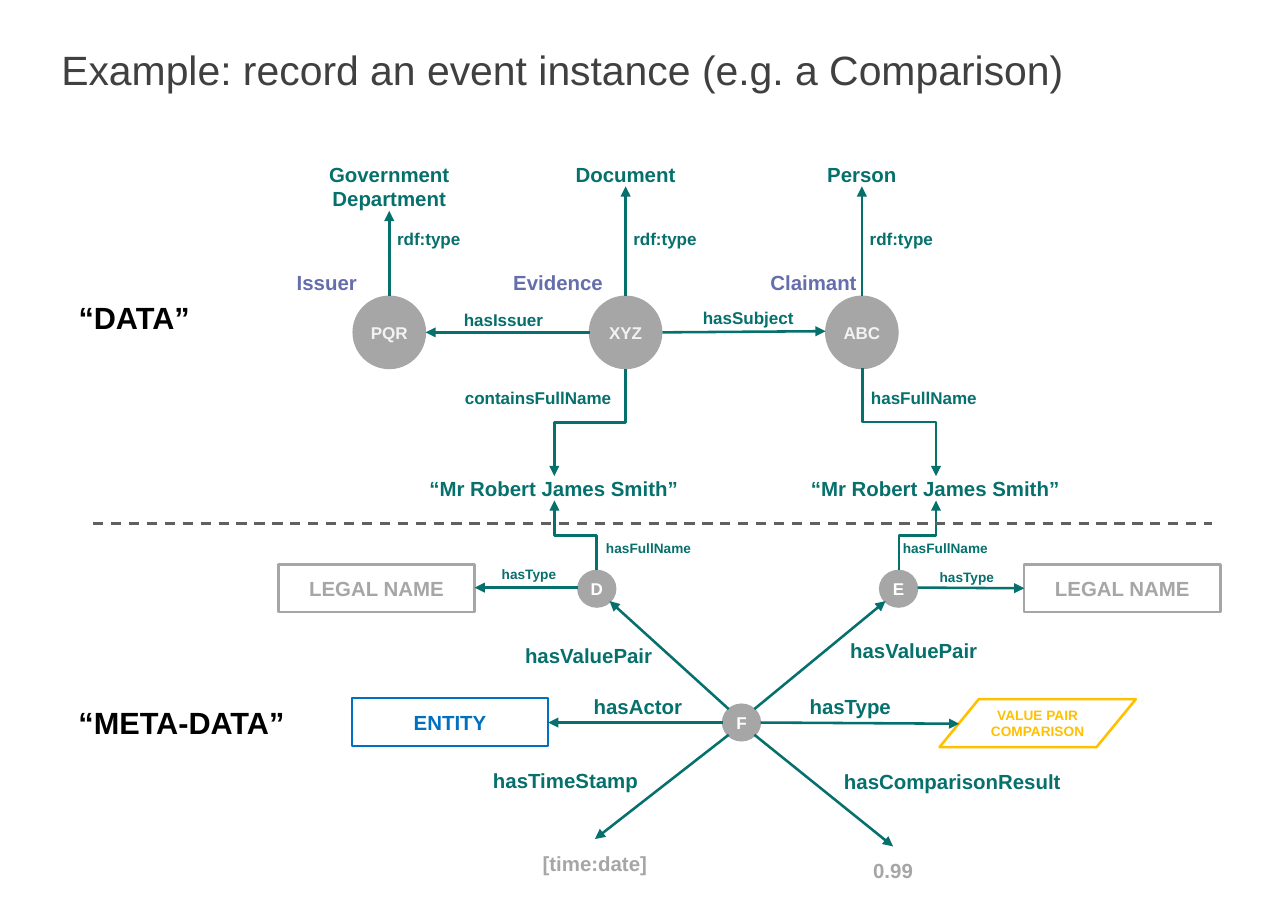
from dataclasses import dataclass
from typing import Optional

from lxml import etree
from pptx import Presentation
from pptx.dml.color import RGBColor
from pptx.enum.dml import MSO_LINE
from pptx.enum.shapes import MSO_CONNECTOR, MSO_SHAPE
from pptx.enum.text import MSO_ANCHOR, PP_ALIGN
from pptx.oxml.ns import qn
from pptx.util import Pt

STRAIGHT, ELBOW = MSO_CONNECTOR.STRAIGHT, MSO_CONNECTOR.ELBOW
OVAL, RECT, DATA = MSO_SHAPE.OVAL, MSO_SHAPE.RECTANGLE, MSO_SHAPE.FLOWCHART_DATA
LEFT, CENTER = PP_ALIGN.LEFT, PP_ALIGN.CENTER
MIDDLE, DASH = MSO_ANCHOR.MIDDLE, MSO_LINE.DASH

TEAL = RGBColor(0x06, 0x70, 0x6D)
VIOLET = RGBColor(0x64, 0x6E, 0xAC)
GREY = RGBColor(0xA6, 0xA6, 0xA6)
PALE = RGBColor(0xF2, 0xF2, 0xF2)
WHITE = RGBColor(0xFF, 0xFF, 0xFF)
BLACK = RGBColor(0x00, 0x00, 0x00)
BLUE = RGBColor(0x00, 0x70, 0xC0)
AMBER = RGBColor(0xFF, 0xC0, 0x00)
CHARCOAL = RGBColor(0x40, 0x40, 0x40)
DIVIDER = RGBColor(0x60, 0x60, 0x60)

FONT = "Arial"
BOX_W, BOX_H = 115.2, 28.1
NODE_Y = 195.1


@dataclass(frozen=True)
class Label:
    text: str
    x: float
    y: float
    width: float
    size: float = 12
    color: RGBColor = TEAL
    align: PP_ALIGN = LEFT
    height: Optional[float] = None
    bold: bool = True
    wrap: bool = True
    spacing: float = 1.0


@dataclass(frozen=True)
class Node:
    text: str
    cx: float
    cy: float
    width: float
    height: float
    color: RGBColor


@dataclass(frozen=True)
class Box:
    text: str
    x: float
    y: float
    color: RGBColor
    outlined: bool = True
    kind: MSO_SHAPE = RECT
    size: float = 12


@dataclass(frozen=True)
class Link:
    x1: float
    y1: float
    x2: float
    y2: float
    color: RGBColor = TEAL
    bent: bool = False
    arrow: bool = True


# Data nodes: name, type and row where the type arrow ends
COLUMNS = [("PQR", "Government Department", 123.8),
           ("XYZ", "Document", 109.4),
           ("ABC", "Person", 109.4)]
COLUMN_X = [228.5 + 138.7 * i for i in range(len(COLUMNS))]

NODES = [Node(name, x, NODE_Y, 42.5, 42.5, PALE)
         for (name, _, _), x in zip(COLUMNS, COLUMN_X)]
NODES += [Node(name, x, y, 22.3, 21.6, WHITE)
          for name, x, y in [("D", 350.3, 345.6), ("E", 527.4, 345.6), ("F", 435.2, 424.1)]]

BOXES = [
    Box("ENTITY", 206.6, 409.7, BLUE),
    Box("LEGAL NAME", 163.4, 331.2, GREY),
    Box("LEGAL NAME", 601.2, 331.2, GREY),
    Box("VALUE PAIR COMPARISON", 551.5, 410.4, AMBER, kind=DATA, size=8),
    Box("[time:date]", 291.6, 492.5, GREY, outlined=False),
    Box("0.99", 466.6, 496.8, GREY, outlined=False),
]

LABELS = [
    Label("Example: record an event instance (e.g. a Comparison)", 36, 30.2, 684, 24,
          CHARCOAL, height=59.8, bold=False, spacing=0.88),
    Label("“DATA”", 46.1, 175.7, 66.2, 18, BLACK, wrap=False),
    Label("“META-DATA”", 46.1, 413.3, 122.4, 18, BLACK, wrap=False),
    Label("Issuer", 174.2, 158.4, 108, color=VIOLET),
    Label("Evidence", 273.6, 158.4, 108, color=VIOLET, align=CENTER),
    Label("Claimant", 452.2, 158.4, 108, color=VIOLET),
    Label("hasIssuer", 272.2, 181.4, 49.7, 10),
    Label("hasSubject", 408.2, 180.7, 61.9, 10, align=CENTER),
    Label("containsFullName", 272.9, 227.5, 90, 10),
    Label("hasFullName", 511.2, 227.5, 80.6, 10),
    Label("“Mr Robert James Smith”", 248.4, 279.4, 153.4, align=CENTER),
    Label("“Mr Robert James Smith”", 472.3, 279.4, 153.4, align=CENTER),
    Label("hasFullName", 355.7, 316.8, 71.3, 8),
    Label("hasFullName", 529.9, 316.8, 71.3, 8),
    Label("hasType", 294.5, 331.9, 71.3, 8),
    Label("hasType", 551.5, 334.1, 71.3, 8),
    Label("hasValuePair", 308.2, 377.3, 117.4),
    Label("hasValuePair", 499, 374.4, 146.2),
    Label("hasActor", 348.5, 407.5, 84.2),
    Label("hasType", 475.2, 407.5, 71.3),
    Label("hasTimeStamp", 289.4, 450.7, 117.4),
    Label("hasComparisonResult", 495.4, 451.4, 151.2),
]

LINKS = [
    # Between data nodes
    Link(346.3, NODE_Y, 249.8, NODE_Y),
    Link(388.8, NODE_Y, 484.6, 194.4),
    # Down and up to the full names
    Link(367.2, 216.7, 325.4, 279.4, bent=True),
    Link(506.2, 216, 549.4, 279.4, bent=True),
    Link(350.2, 334.8, 325.4, 293.8, bent=True),
    Link(527.6, 334.8, 549.4, 293.8, bent=True),
    # Out of D and E
    Link(339.1, 344.9, 278.6, 344.9),
    Link(538.6, 344.9, 601.2, 345.3),
    # Out of F
    Link(427.7, 416.2, 357.8, 352.8),
    Link(442.8, 416.2, 519.8, 352.8),
    Link(424.1, 424.1, 321.8, 424.1),
    Link(446.4, 424.1, 563, 424.8),
    Link(427.7, 431.3, 349.2, 492.5),
    Link(442.8, 431.3, 524.2, 496.8),
    # Divider between data and meta-data
    Link(54.7, 307.4, 711.4, 307.4, DIVIDER, arrow=False),
]

# Type of each data node
for (_, type_name, tip_y), column_x in zip(COLUMNS, COLUMN_X):
    type_h = tip_y - 95
    LABELS.append(Label(type_name, column_x - 36, 95, 72, align=CENTER, height=type_h))
    LABELS.append(Label("rdf:type", column_x + 4.6, 134.4, 61.9, 10))
    LINKS.append(Link(column_x, 174, column_x, tip_y))


def write(shape, text: str, size: float, color: RGBColor, align: PP_ALIGN,
          inset: float = 0, bold: bool = True):
    frame = shape.text_frame
    frame.margin_left = frame.margin_right = Pt(inset)
    frame.margin_top = frame.margin_bottom = Pt(inset)
    para = frame.paragraphs[0]
    para.alignment = align
    span = para.add_run()
    span.text = text
    span.font.name = FONT
    span.font.size = Pt(size)
    span.font.bold = bold
    span.font.color.rgb = color
    return frame


def draw_label(page, label: Label) -> None:
    height = label.height or label.size * 1.2
    box = page.shapes.add_textbox(Pt(label.x), Pt(label.y), Pt(label.width), Pt(height))
    frame = write(box, label.text, label.size, label.color, label.align, bold=label.bold)
    frame.word_wrap = label.wrap
    frame.paragraphs[0].line_spacing = label.spacing


def draw_node(page, node: Node) -> None:
    circle = page.shapes.add_shape(OVAL, Pt(node.cx - node.width / 2),
                                   Pt(node.cy - node.height / 2),
                                   Pt(node.width), Pt(node.height))
    circle.shadow.inherit = False
    circle.fill.solid()
    circle.fill.fore_color.rgb = GREY
    circle.line.color.rgb = GREY
    circle.line.width = Pt(0.75)
    frame = write(circle, node.text, 10, node.color, CENTER)
    frame.vertical_anchor = MIDDLE
    frame.word_wrap = False


def draw_box(page, item: Box) -> None:
    box = page.shapes.add_shape(item.kind, Pt(item.x), Pt(item.y), Pt(BOX_W), Pt(BOX_H))
    box.shadow.inherit = False
    if item.kind == RECT:
        box.fill.solid()
        box.fill.fore_color.rgb = WHITE
    else:
        box.fill.background()
    if item.outlined:
        box.line.color.rgb = item.color
        box.line.width = Pt(1.5)
    else:
        box.line.fill.background()
    frame = write(box, item.text, item.size, item.color, CENTER, inset=5.76)
    frame.vertical_anchor = MIDDLE
    frame.word_wrap = True


def draw_link(page, link: Link) -> None:
    x1, y1, x2, y2 = link.x1, link.y1, link.x2, link.y2
    if link.bent:
        # Lay the elbow on its side; a quarter turn then makes it leave vertically
        mid_x, mid_y = (x1 + x2) / 2, (y1 + y2) / 2
        half_w, half_h = abs(y2 - y1) / 2, abs(x2 - x1) / 2
        if (y2 > y1) == (x2 > x1):
            half_h = -half_h
        line = page.shapes.add_connector(ELBOW, Pt(mid_x - half_w), Pt(mid_y - half_h),
                                         Pt(mid_x + half_w), Pt(mid_y + half_h))
        turn = 90 if y2 > y1 else 270
        line.element.spPr.find(qn("a:xfrm")).set("rot", str(turn * 60000))
    else:
        line = page.shapes.add_connector(STRAIGHT, Pt(x1), Pt(y1), Pt(x2), Pt(y2))
    line.line.color.rgb = link.color
    line.line.width = Pt(1.5)
    if link.arrow:
        outline = line.element.spPr.find(qn("a:ln"))
        etree.SubElement(outline, qn("a:tailEnd"), type="triangle")
    else:
        line.line.dash_style = DASH
    etree.SubElement(line.element.spPr, qn("a:effectLst"))


def main() -> None:
    deck = Presentation()
    deck.slide_width, deck.slide_height = Pt(756), Pt(540)
    page = deck.slides.add_slide(deck.slide_layouts[6])
    for item in BOXES:
        draw_box(page, item)
    for node in NODES:
        draw_node(page, node)
    for link in LINKS:
        draw_link(page, link)
    for label in LABELS:
        draw_label(page, label)
    deck.save("out.pptx")


if __name__ == "__main__":
    main()
